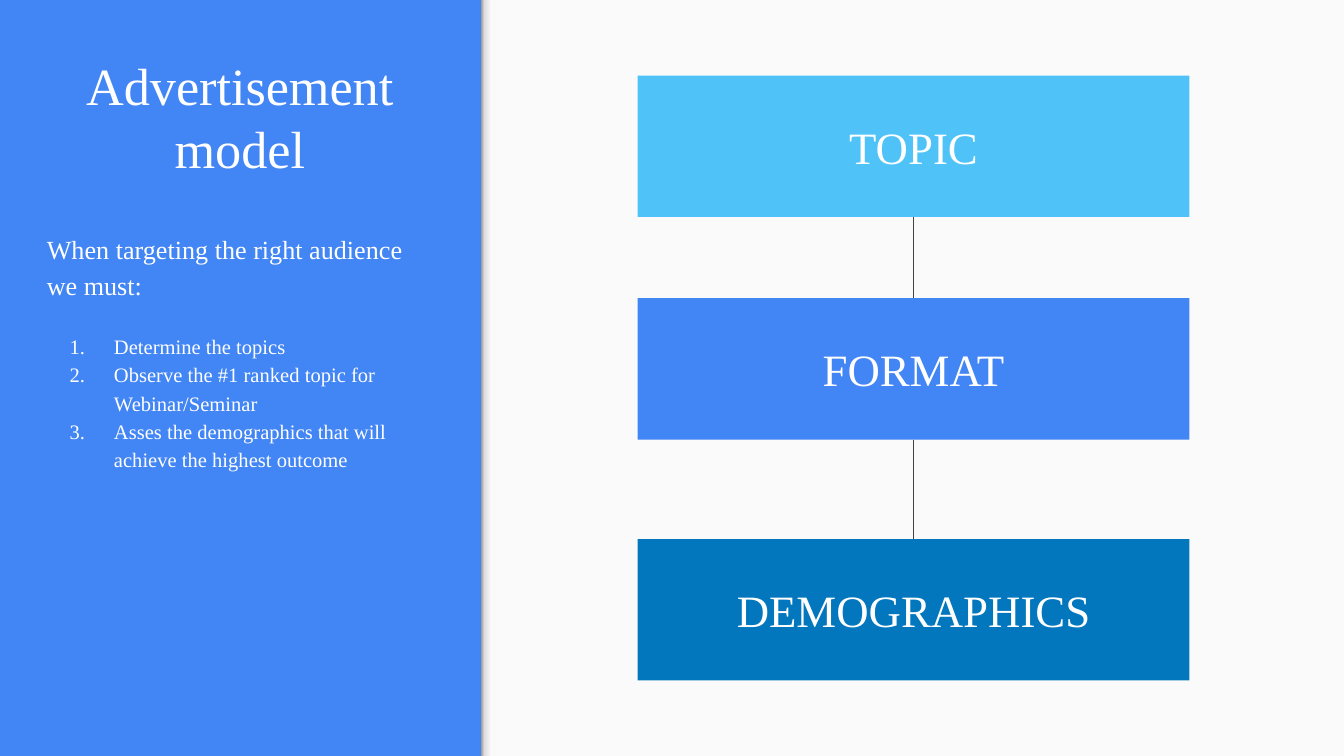
from copy import deepcopy

from lxml.etree import SubElement
from pptx import Presentation
from pptx.dml.color import RGBColor as RGB
from pptx.enum.shapes import MSO_CONNECTOR as CONNECTOR, MSO_SHAPE as SHAPE
from pptx.enum.text import MSO_ANCHOR as ANCHOR, PP_ALIGN as ALIGN
from pptx.oxml.ns import qn
from pptx.util import Pt

TITLE = "Advertisement model"
INTRO = "When targeting the right audience we must:"
STEPS = [
    "Determine the topics",
    "Observe the #1 ranked topic for Webinar/Seminar",
    "Asses the demographics that will achieve the highest outcome",
]
# Label, fill, top
BOXES = [
    ("TOPIC", "4FC3F7", 40.5),
    ("FORMAT", "4285F4", 159.8),
    ("DEMOGRAPHICS", "0277BD", 288.8),
]


class Theme:
    font = "Times New Roman"
    side, panel, text, line = "4285F4", "FAFAFA", "FFFFFF", "424242"
    edge = [(0, "999999"), (0.2, "DEDEDE"), (0.64, "F9F9F9"), (1, "F9F9F9")]
    title, intro, step, box = 28, 14, 11, 24


WIDTH, HEIGHT = 720, 405
SIDE_W, EDGE_W = 257.8, 8.6
TEXT_X, TEXT_W = 18, 221
BOX_X, BOX_W, BOX_H = 341.6, 295.6, 75.8
INSET = 7.2
STEP_INDENT, STEP_HANG = 36, 23.75


def add_rect(slide, x, y, w, h, color=None):
    sp = slide.shapes.add_shape(SHAPE.RECTANGLE, Pt(x), Pt(y), Pt(w), Pt(h))
    sp.shadow.inherit = False
    sp.line.fill.background()
    if color:
        sp.fill.solid()
        sp.fill.fore_color.rgb = RGB.from_string(color)
    return sp


def add_edge(slide):
    """Soft shadow strip along the left side of the light panel."""
    sp = add_rect(slide, SIDE_W, 0, EDGE_W, HEIGHT)
    sp.fill.gradient()
    sp.fill.gradient_angle = 0
    stops = sp._element.spPr.find(".//" + qn("a:gsLst"))
    while len(stops) < len(Theme.edge):
        stops.append(deepcopy(stops[0]))
    for stop, (position, color) in zip(sp.fill.gradient_stops, Theme.edge):
        stop.position = position
        stop.color.rgb = RGB.from_string(color)


def set_frame(sp, anchor):
    tf = sp.text_frame
    tf.word_wrap = True
    tf.vertical_anchor = anchor
    tf.margin_left = tf.margin_right = tf.margin_top = tf.margin_bottom = Pt(INSET)
    return tf


def add_text(slide, y, h, anchor):
    box = slide.shapes.add_textbox(Pt(TEXT_X), Pt(y), Pt(TEXT_W), Pt(h))
    return set_frame(box, anchor)


def write(p, text, size, align=ALIGN.LEFT):
    p.alignment = align
    r = p.add_run()
    r.text = text
    r.font.name = Theme.font
    r.font.size = Pt(size)
    r.font.color.rgb = RGB.from_string(Theme.text)


def number(p):
    pPr = p._p.get_or_add_pPr()
    pPr.set("marL", str(Pt(STEP_INDENT)))
    pPr.set("indent", str(-Pt(STEP_HANG)))
    color = SubElement(pPr, qn("a:buClr"))
    SubElement(color, qn("a:srgbClr"), val=Theme.text)
    SubElement(pPr, qn("a:buAutoNum"), type="arabicPeriod")


def join(slide, upper, lower):
    line = slide.shapes.add_connector(CONNECTOR.STRAIGHT, 0, 0, 0, 0)
    line.begin_connect(upper, 2)
    line.end_connect(lower, 0)
    line.line.color.rgb = RGB.from_string(Theme.line)
    line.line.width = Pt(0.75)
    SubElement(line._element.spPr, qn("a:effectLst"))


def main():
    prs = Presentation()
    prs.slide_width, prs.slide_height = Pt(WIDTH), Pt(HEIGHT)
    slide = prs.slides.add_slide(prs.slide_layouts[6])
    slide.background.fill.solid()
    slide.background.fill.fore_color.rgb = RGB.from_string(Theme.side)
    add_rect(slide, SIDE_W, 0, WIDTH - SIDE_W, HEIGHT, Theme.panel)
    add_edge(slide)

    tf = add_text(slide, 28, 75, ANCHOR.BOTTOM)
    write(tf.paragraphs[0], TITLE, Theme.title, ALIGN.CENTER)

    tf = add_text(slide, 115.2, 249, ANCHOR.TOP)
    write(tf.paragraphs[0], INTRO, Theme.intro)
    for i, step in enumerate(STEPS):
        p = tf.add_paragraph()
        p.space_before = Pt(0 if i else 16)
        write(p, step, Theme.step)
    for p in tf.paragraphs:
        p.line_spacing = 1.15
    for p in tf.paragraphs[1:]:
        number(p)

    boxes = []
    for label, color, y in BOXES:
        sp = add_rect(slide, BOX_X, y, BOX_W, BOX_H, color)
        tf = set_frame(sp, ANCHOR.MIDDLE)
        write(tf.paragraphs[0], label, Theme.box, ALIGN.CENTER)
        boxes.append(sp)
    for upper, lower in zip(boxes, boxes[1:]):
        join(slide, upper, lower)

    prs.save("out.pptx")


if __name__ == "__main__":
    main()
